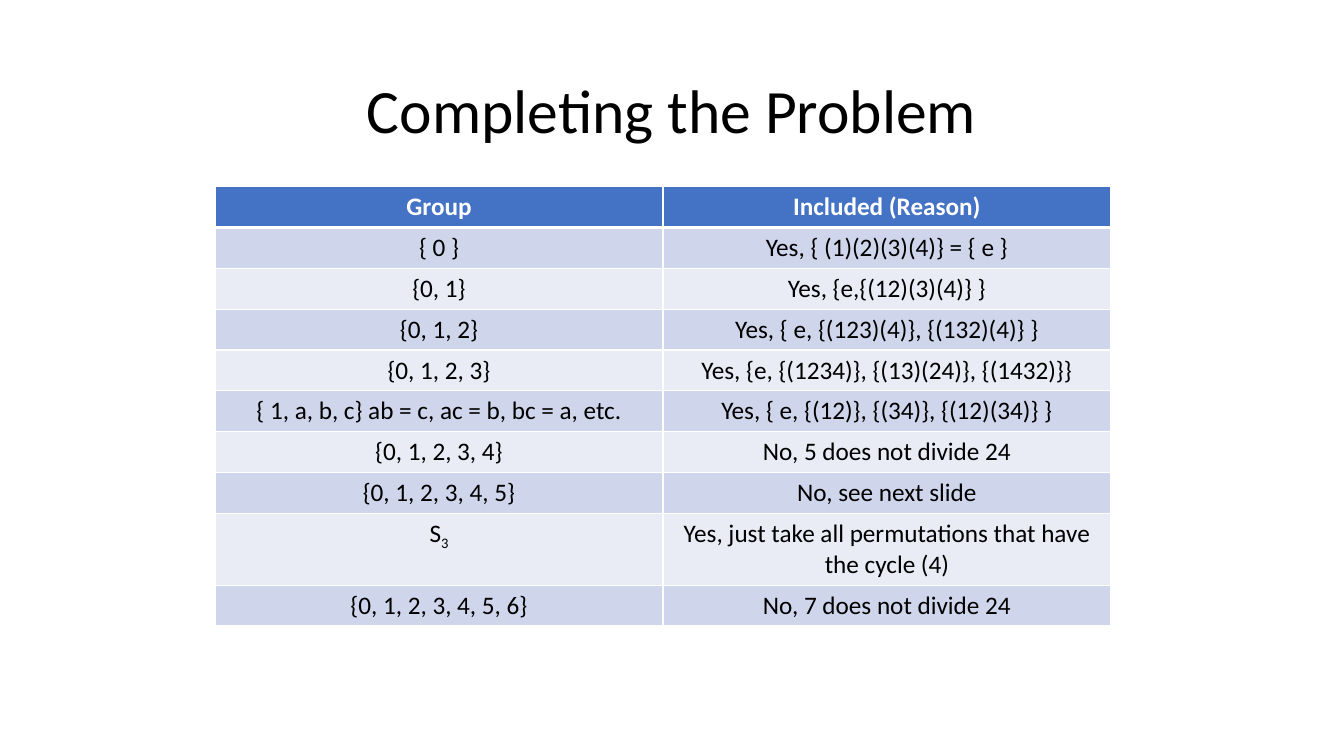
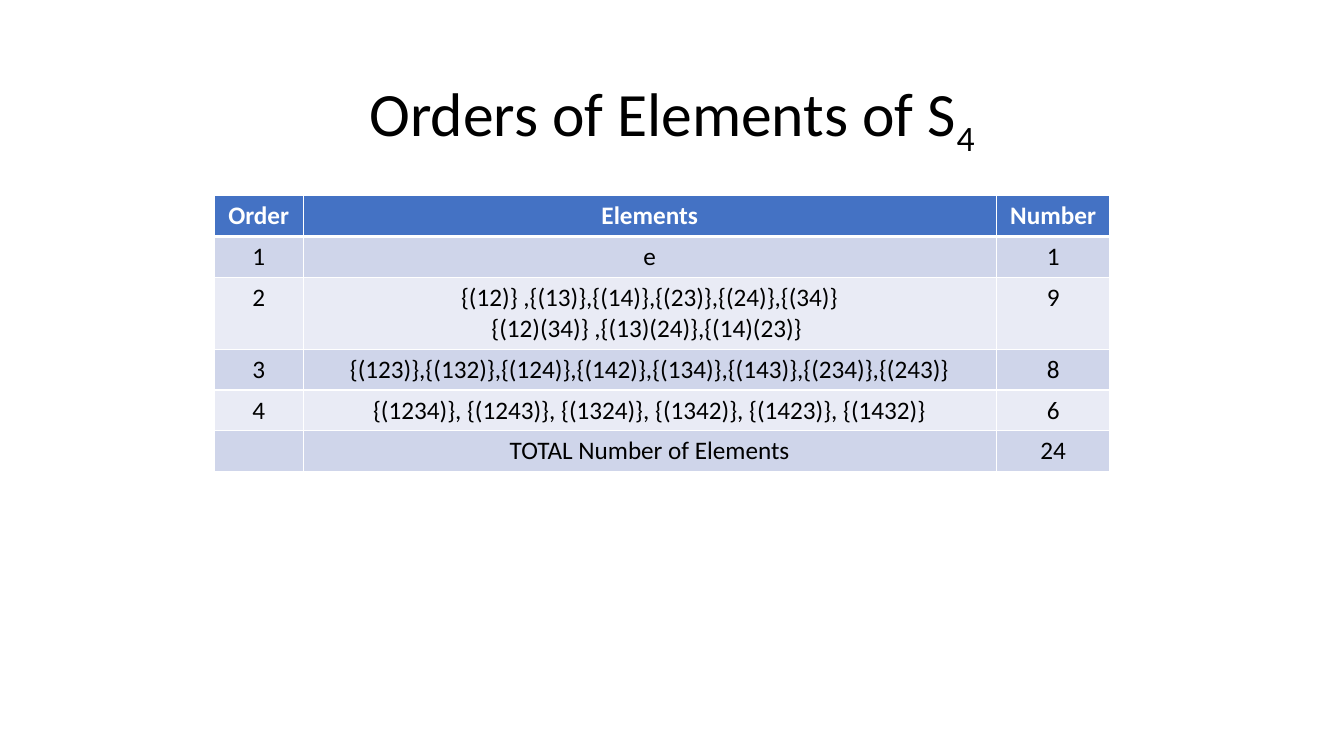
from lxml.etree import SubElement
from pptx import Presentation
from pptx.dml.color import RGBColor
from pptx.enum.text import MSO_ANCHOR, MSO_AUTO_SIZE, PP_ALIGN
from pptx.oxml.ns import qn
from pptx.util import Inches, Pt

COLORS = {
    "text": "000000",
    "header": "4472C4",
    "header_text": "FFFFFF",
    "odd_row": "CFD5EA",
    "even_row": "E9EBF5",
    "border": "FFFFFF",
}
GRID_COLUMNS, GRID_ROWS = 160, 90
ROW_HEIGHT = Pt(29.2)
TITLE_ONLY = 5


class Deck:
    """Holds the shared style and the slide being built."""

    font = "Calibri"
    title_size = 44
    table_size = 18

    def __init__(self):
        """Start a widescreen presentation."""
        self.presentation = Presentation()
        self.presentation.slide_width = Inches(13.333)
        self.presentation.slide_height = Inches(7.5)
        self.slide = None

    def x(self, columns):
        """Return a horizontal length given in grid columns."""
        return round(self.presentation.slide_width * columns / GRID_COLUMNS)

    def y(self, rows):
        """Return a vertical length given in grid rows."""
        return round(self.presentation.slide_height * rows / GRID_ROWS)

    def add_slide(self, title):
        """Add a slide with a centred title."""
        layout = self.presentation.slide_layouts[TITLE_ONLY]
        self.slide = self.presentation.slides.add_slide(layout)
        heading = self.slide.shapes.title
        heading.left, heading.top = self.x(11), self.y(4.8)
        heading.width, heading.height = self.x(138), self.y(17.4)
        frame = heading.text_frame
        frame.word_wrap = True
        frame.auto_size = MSO_AUTO_SIZE.NONE
        frame.vertical_anchor = MSO_ANCHOR.MIDDLE
        frame.paragraphs[0].line_spacing = 0.9
        self.add_runs(frame.paragraphs[0], title, self.title_size, "text")

    def add_runs(self, paragraph, text, size, color, bold=False):
        """Add centred runs; what follows an underscore is subscript."""
        paragraph.alignment = PP_ALIGN.CENTER
        for position, part in enumerate(text.split("_")):
            run = paragraph.add_run()
            run.text = part
            run.font.name = self.font
            run.font.size = Pt(size)
            run.font.bold = bold
            run.font.color.rgb = RGBColor.from_string(COLORS[color])
            if position:
                run._r.get_or_add_rPr().set("baseline", "-25000")

    def add_table(self, left, top, widths, rows):
        """Add a banded table whose first row is the header."""
        table = self.slide.shapes.add_table(
            len(rows), len(widths), self.x(left), self.y(top),
            self.x(sum(widths)), ROW_HEIGHT * len(rows)).table
        for column, width in zip(table.columns, widths):
            column.width = self.x(width)
        for number, (row, texts) in enumerate(zip(table.rows, rows)):
            row.height = ROW_HEIGHT
            for cell, text in zip(row.cells, texts):
                self.fill_cell(cell, text, number)

    def fill_cell(self, cell, text, row_number):
        """Give a cell its borders, fill and text according to its row."""
        is_header = row_number == 0
        self.add_borders(cell, top=3 if row_number == 1 else 1,
                         bottom=3 if is_header else 1)
        band = "odd_row" if row_number % 2 else "even_row"
        fill = COLORS["header" if is_header else band]
        cell.fill.solid()
        cell.fill.fore_color.rgb = RGBColor.from_string(fill)
        if not text:
            return
        frame = cell.text_frame
        for position, line in enumerate(text.split("\n")):
            paragraph = frame.add_paragraph() if position else frame.paragraphs[0]
            self.add_runs(paragraph, line, self.table_size,
                          "header_text" if is_header else "text", is_header)

    def add_borders(self, cell, top, bottom):
        """Draw the four borders of a cell, widths in points."""
        properties = cell._tc.get_or_add_tcPr()
        for side, width in (("L", 1), ("R", 1), ("T", top), ("B", bottom)):
            line = SubElement(properties, qn(f"a:ln{side}"), w=str(Pt(width)))
            solid = SubElement(line, qn("a:solidFill"))
            SubElement(solid, qn("a:srgbClr"), val=COLORS["border"])


GROUPS = [
    ("Group", "Included (Reason)"),
    ("{ 0 }", "Yes, { (1)(2)(3)(4)} = { e }"),
    ("{0, 1}", "Yes, {e,{(12)(3)(4)} }"),
    ("{0, 1, 2}", "Yes, { e, {(123)(4)}, {(132)(4)} }"),
    ("{0, 1, 2, 3}", "Yes, {e, {(1234)}, {(13)(24)}, {(1432)}}"),
    ("{ 1, a, b, c} ab = c, ac = b, bc = a, etc.",
     "Yes, { e, {(12)}, {(34)}, {(12)(34)} }"),
    ("{0, 1, 2, 3, 4}", "No, 5 does not divide 24"),
    ("{0, 1, 2, 3, 4, 5}", "No, see next slide"),
    ("S_3", "Yes, just take all permutations that have the cycle (4)"),
    ("{0, 1, 2, 3, 4, 5, 6}", "No, 7 does not divide 24"),
]
ORDERS = [
    ("Order", "Elements", "Number"),
    ("1", "e", "1"),
    ("2", "{(12)} ,{(13)},{(14)},{(23)},{(24)},{(34)}\n"
          "{(12)(34)} ,{(13)(24)},{(14)(23)} ", "9"),
    ("3", "{(123)},{(132)},{(124)},{(142)},{(134)},{(143)},{(234)},{(243)}", "8"),
    ("4", "{(1234)}, {(1243)}, {(1324)}, {(1342)}, {(1423)}, {(1432)}", "6"),
    ("", "TOTAL Number of Elements", "24"),
]

deck = Deck()
deck.add_slide("Completing the Problem")
deck.add_table(25.6, 22.2, (53.33, 53.33), GROUPS)
deck.add_slide("Orders of Elements of S_4")
deck.add_table(25.5, 23.3, (10.6, 82.5, 13.56), ORDERS)
deck.presentation.save("out.pptx")
